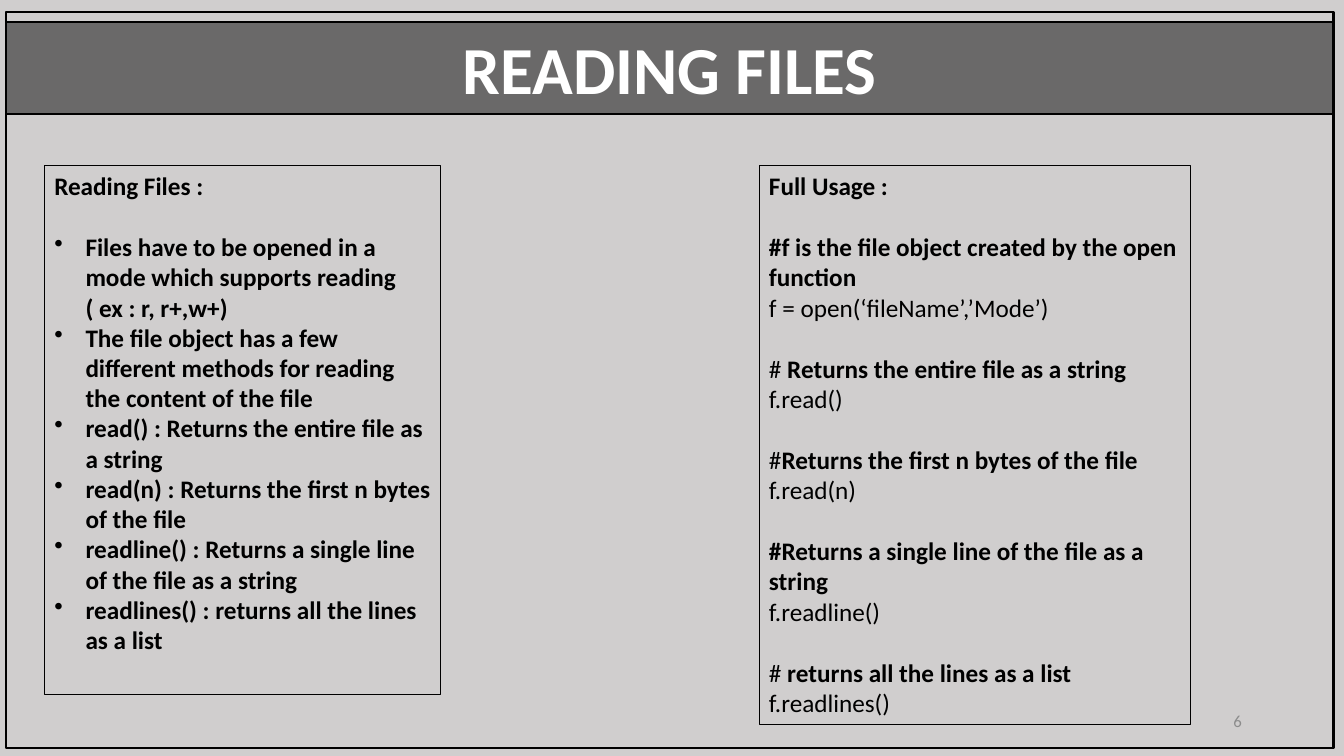
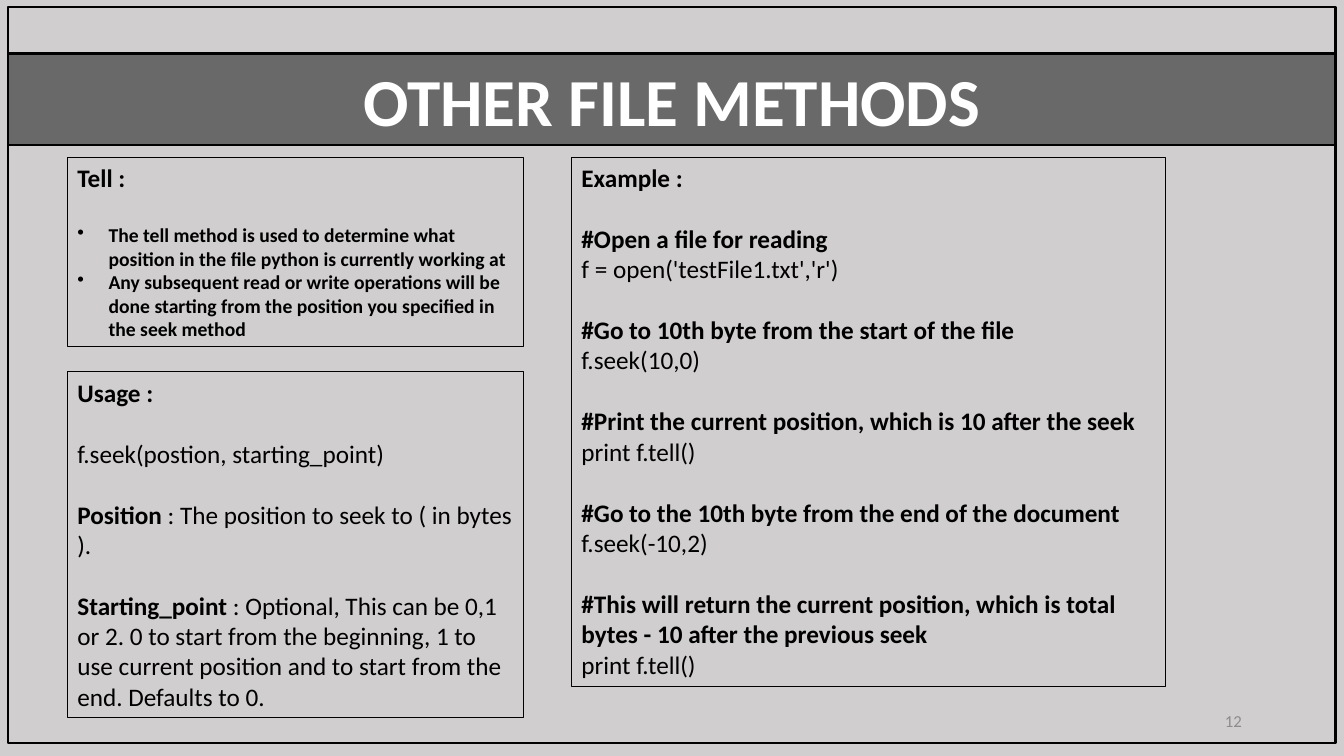
import pptx
import pptx.dml.color
import pptx.enum.shapes
import pptx.enum.text
import pptx.oxml.ns
import pptx.util
from lxml import etree

RGBColor = pptx.dml.color.RGBColor
Pt = pptx.util.Pt
Align = pptx.enum.text.PP_ALIGN
Anchor = pptx.enum.text.MSO_ANCHOR
qn = pptx.oxml.ns.qn

BACKGROUND = RGBColor(0xD0, 0xCE, 0xCE)
BLACK = RGBColor(0x00, 0x00, 0x00)
WHITE = RGBColor(0xFF, 0xFF, 0xFF)
GREY = RGBColor(0x8C, 0x8C, 0x8C)
FONT = "Calibri"
BODY = 18
BLOCK_GAP = Pt(22)
INDENT = pptx.util.Inches(0.31)

deck = pptx.Presentation()
deck.slide_width = pptx.util.Inches(13.33)
deck.slide_height = pptx.util.Inches(7.5)


def add_box(slide, left, top, width, height, line=None):
    box = slide.shapes.add_shape(
        pptx.enum.shapes.MSO_SHAPE.RECTANGLE,
        int(deck.slide_width * left / 100), int(deck.slide_height * top / 100),
        int(deck.slide_width * width / 100), int(deck.slide_height * height / 100))
    box.shadow.inherit = False
    box.fill.background()
    if line:
        box.line.color.rgb = BLACK
        box.line.width = Pt(line)
    else:
        box.line.fill.background()
    box.text_frame.word_wrap = True
    return box


def style(paragraph, marked, size, color, align=Align.LEFT):
    # Odd segments between asterisks are bold.
    segments = [(text, i % 2 == 1) for i, text in enumerate(marked.split("*")) if text]
    paragraph.alignment = align
    paragraph.font.name = FONT
    paragraph.font.size = Pt(size)
    paragraph.font.color.rgb = color
    if len(segments) == 1:
        paragraph.font.bold = segments[0][1]
    for text, bold in segments:
        run = paragraph.add_run()
        run.text = text
        if len(segments) > 1:
            run.font.bold = bold


SLIDES = [
    {
        "title": "READING FILES", "number": "6", "frame": (0.45, 1.6), "band_top": 2.93,
        "panels": [
            ((3.3, 21.87, 29.48, 70), BODY, [
                ["*Reading Files :*"],
                ["•*Files have to be opened in a mode which supports reading ( ex : r, r+,w+)*",
                 "•*The file object has a few different methods for reading the content of the file*",
                 "•*read() : Returns the entire file as a string*",
                 "•*read(n) : Returns the first n bytes of the file*",
                 "•*readline() : Returns a single line of the file as a string*",
                 "•*readlines() : returns all the lines as a list*"],
            ]),
            ((56.48, 21.87, 32.1, 74), BODY, [
                ["*Full Usage :*"],
                ["*#f is the file object created by the open function*",
                 "f = open(‘fileName’,’Mode’)"],
                ["#* Returns the entire file as a string*", "f.read()"],
                ["#*Returns the first n bytes of the file*", "f.read(n)"],
                ["*#Returns a single line of the file as a string*", "f.readline()"],
                ["#* returns all the lines as a list*", "f.readlines()"],
            ]),
        ],
    },
    {
        "title": "OTHER FILE METHODS", "number": "12", "frame": (0.6, 0.93), "band_top": 7.07,
        "panels": [
            ((5.02, 20.8, 33.9, 25.07), 14, [
                ["*Tell :*"],
                ["•*The tell method is used to determine what position in the file python"
                 " is currently working at*",
                 "•*Any subsequent read or write operations will be done starting from"
                 " the position you specified in the seek method*"],
            ]),
            ((42.52, 20.8, 44.18, 70), BODY, [
                ["*Example :*"],
                ["*#Open a file for reading*", "f = open('testFile1.txt','r')"],
                ["*#Go to 10th byte from the start of the file*", "f.seek(10,0)"],
                ["*#Print the current position, which is 10 after the seek*", "print f.tell()"],
                ["*#Go to the 10th byte from the end of the document*", "f.seek(-10,2)"],
                ["*#This will return the current position, which is total bytes - 10"
                 " after the previous seek*", "print f.tell()"],
            ]),
            ((5.02, 49.2, 33.9, 45.73), BODY, [
                ["*Usage :*"],
                ["f.seek(postion, starting_point)"],
                ["*Position* : The position to seek to ( in bytes )."],
                ["*Starting_point* : Optional, This can be 0,1 or 2. 0 to start from the"
                 " beginning, 1 to use current position and to start from the end."
                 " Defaults to 0."],
            ]),
        ],
    },
]

for content in SLIDES:
    slide = deck.slides.add_slide(deck.slide_layouts[6])
    slide.background.fill.solid()
    slide.background.fill.fore_color.rgb = BACKGROUND

    frame_left, frame_top = content["frame"]
    add_box(slide, frame_left, frame_top, 98.78, 97.33, 1.75)

    band = add_box(slide, frame_left, content["band_top"], 98.78, 12.13, 1.75)
    band.fill.solid()
    band.fill.fore_color.rgb = BLACK
    band_color = band.fill._xPr.find(qn("a:solidFill"))[0]
    etree.SubElement(band_color, qn("a:alpha"), val="49000")
    style(band.text_frame.paragraphs[0], f"*{content['title']}*", 48, WHITE, Align.CENTER)

    for place, bullet_size, blocks in content["panels"]:
        text_frame = add_box(slide, *place, 0.75).text_frame
        text_frame.vertical_anchor = Anchor.TOP
        for block_index, block in enumerate(blocks):
            for line_index, line in enumerate(block):
                first = block_index == line_index == 0
                paragraph = text_frame.paragraphs[0] if first else text_frame.add_paragraph()
                bulleted = line.startswith("•")
                style(paragraph, line.lstrip("•"), bullet_size if bulleted else BODY, BLACK)
                if block_index and line_index == 0:
                    paragraph.space_before = BLOCK_GAP
                if bulleted:
                    properties = paragraph._p.get_or_add_pPr()
                    properties.set("marL", str(INDENT))
                    properties.set("indent", str(-INDENT))
                    bullet = etree.Element(qn("a:buChar"), char="•")
                    properties.find(qn("a:defRPr")).addprevious(bullet)

    number = add_box(slide, 70.65, 92.67, 22.5, 5.33)
    style(number.text_frame.paragraphs[0], content["number"], 12, GREY, Align.RIGHT)

deck.save("out.pptx")
